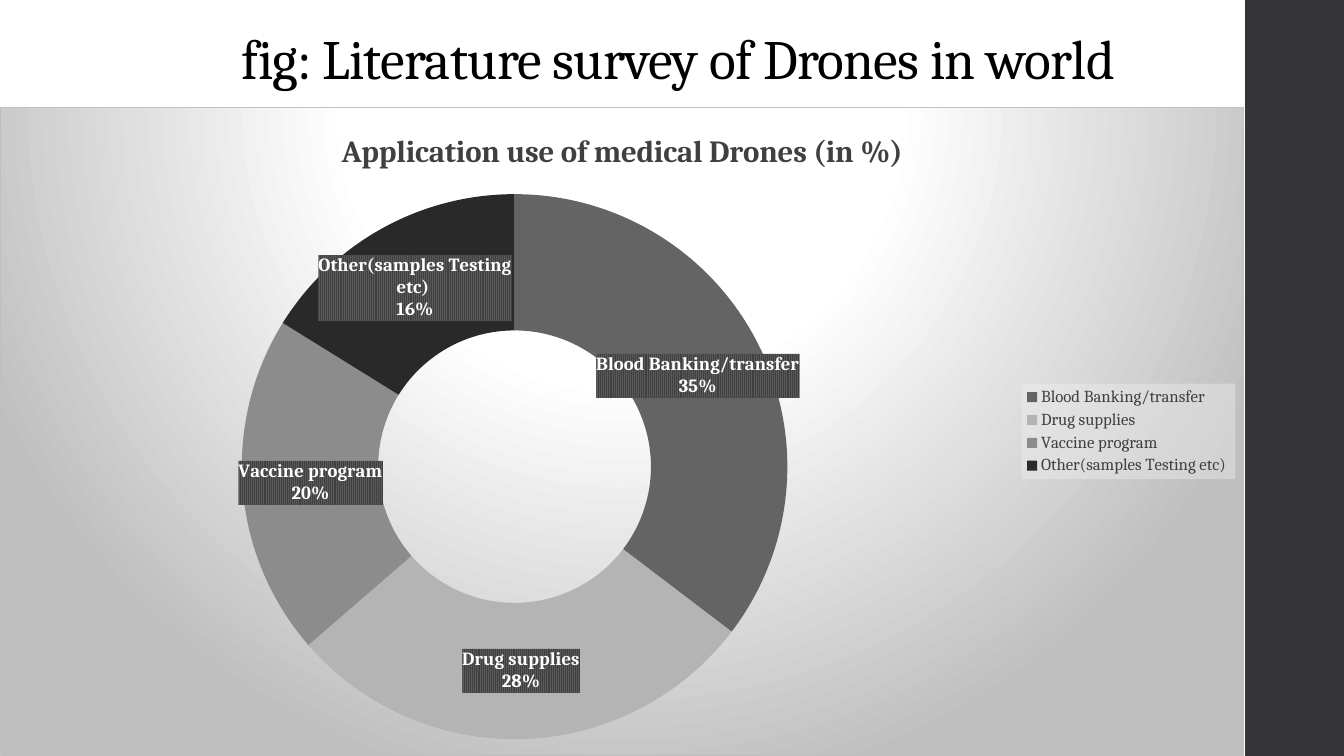
from lxml import etree
from pptx import Presentation
from pptx.chart.data import CategoryChartData
from pptx.dml.color import RGBColor
from pptx.enum import chart as ch, dml, shapes, text
from pptx.oxml import parse_xml
from pptx.oxml.ns import nsdecls, qn
from pptx.util import Inches, Pt

FONT = "Cambria"
WHITE = RGBColor(0xFF, 0xFF, 0xFF)
BLACK = RGBColor(0x00, 0x00, 0x00)
BAND = RGBColor(0x35, 0x35, 0x37)
GREY = RGBColor(0x40, 0x40, 0x40)
PATTERN_LIGHT = RGBColor(0x59, 0x59, 0x59)
CHART_TITLE = "Application use of medical Drones (in %)"
APPLICATIONS = [
    ("Blood Banking/transfer", 35, RGBColor(0x64, 0x64, 0x64)),
    ("Drug supplies", 28, RGBColor(0xB4, 0xB4, 0xB4)),
    ("Vaccine program", 20, RGBColor(0x8C, 0x8C, 0x8C)),
    ("Other(samples Testing etc) ", 16, RGBColor(0x29, 0x29, 0x29)),
]


def style_font(font, size, color, bold=False):
    font.name = FONT
    font.size = Pt(size)
    font.bold = bold
    font.color.rgb = color


def shape_properties(fill):
    return parse_xml(f'<c:spPr {nsdecls("c", "a")}>{fill}</c:spPr>')


prs = Presentation()
prs.slide_width = Inches(13.33)
prs.slide_height = Inches(7.5)
s = prs.slides.add_slide(prs.slide_layouts[5])

band = s.shapes.add_shape(
    shapes.MSO_SHAPE.RECTANGLE, Inches(12.35), 0, Inches(0.98), Inches(7.5))
band.shadow.inherit = False
band.fill.solid()
band.fill.fore_color.rgb = BAND
band.line.fill.background()

title = s.shapes.title
title.left, title.top = Inches(0.92), Inches(0.4)
title.width, title.height = Inches(11.5), Inches(0.56)
tf = title.text_frame
tf.text = " fig: Literature survey of Drones in world"
tf.word_wrap = True
tf.auto_size = text.MSO_AUTO_SIZE.NONE
tf.vertical_anchor = text.MSO_ANCHOR.BOTTOM
p = tf.paragraphs[0]
p.alignment = text.PP_ALIGN.CENTER
p.line_spacing = 0.9
r = p.runs[0]
style_font(r.font, 39.6, BLACK)
r.font._element.set("spc", "-50")

data = CategoryChartData()
data.categories = [name for name, share, color in APPLICATIONS]
data.add_series(CHART_TITLE, [share for name, share, color in APPLICATIONS])
chart = s.shapes.add_chart(
    ch.XL_CHART_TYPE.DOUGHNUT, 0, Inches(1.06), Inches(12.34), Inches(6.44), data).chart
style_font(chart.font, 10, BLACK)

chart.has_title = True
chart.chart_title.include_in_layout = False
tf = chart.chart_title.text_frame
tf.text = CHART_TITLE
style_font(tf.paragraphs[0].runs[0].font, 22, GREY, True)

chart.has_legend = True
legend = chart.legend
legend.position = ch.XL_LEGEND_POSITION.RIGHT
legend.include_in_layout = False
style_font(legend.font, 12, GREY)
legend._element.find(qn("c:txPr")).addprevious(shape_properties(
    '<a:solidFill><a:srgbClr val="F2F2F2"><a:alpha val="39000"/></a:srgbClr></a:solidFill>'))

plot = chart.plots[0]
plot.vary_by_categories = True
plot._element.find(qn("c:holeSize")).set("val", "50")
for i, (name, share, color) in enumerate(APPLICATIONS):
    point = plot.series[0].points[i]
    point.format.fill.solid()
    point.format.fill.fore_color.rgb = color
    point.format.line.fill.background()

labels = plot.series[0].data_labels
labels.show_value = False
labels.show_percentage = True
labels.show_category_name = True
labels.show_legend_key = False
labels.number_format = "0%"
labels.number_format_is_linked = False
style_font(labels.font, 13.3, WHITE, True)
labels._element.find(qn("c:txPr")).addprevious(shape_properties(
    f'<a:pattFill prst="narVert"><a:fgClr><a:srgbClr val="{GREY}"/></a:fgClr>'
    f'<a:bgClr><a:srgbClr val="{PATTERN_LIGHT}"/></a:bgClr></a:pattFill>'))

plot_area = chart._chartSpace.chart.plotArea
for old in plot_area.findall(qn("c:layout")):
    plot_area.remove(old)
layout = etree.Element(qn("c:layout"))
manual = etree.SubElement(layout, qn("c:manualLayout"))
for tag, value in [("layoutTarget", "inner"), ("xMode", "edge"), ("yMode", "edge"),
                   ("x", "0.194"), ("y", "0.134"), ("w", "0.439"), ("h", "0.841")]:
    etree.SubElement(manual, qn(f"c:{tag}")).set("val", value)
plot_area.insert(0, layout)

stops = "".join(
    f'<a:gs pos="{pos}000"><a:srgbClr val="{color}"/></a:gs>'
    for pos, color in [(0, "FFFFFF"), (39, "FFFFFF"), (100, "BFBFBF")])
chart._chartSpace.chart.addnext(shape_properties(
    f'<a:gradFill><a:gsLst>{stops}</a:gsLst><a:path path="circle">'
    '<a:fillToRect l="50000" t="-80000" r="50000" b="180000"/></a:path></a:gradFill>'
    '<a:ln w="9525"><a:solidFill><a:srgbClr val="BFBFBF"/></a:solidFill></a:ln>'))

prs.save("out.pptx")
